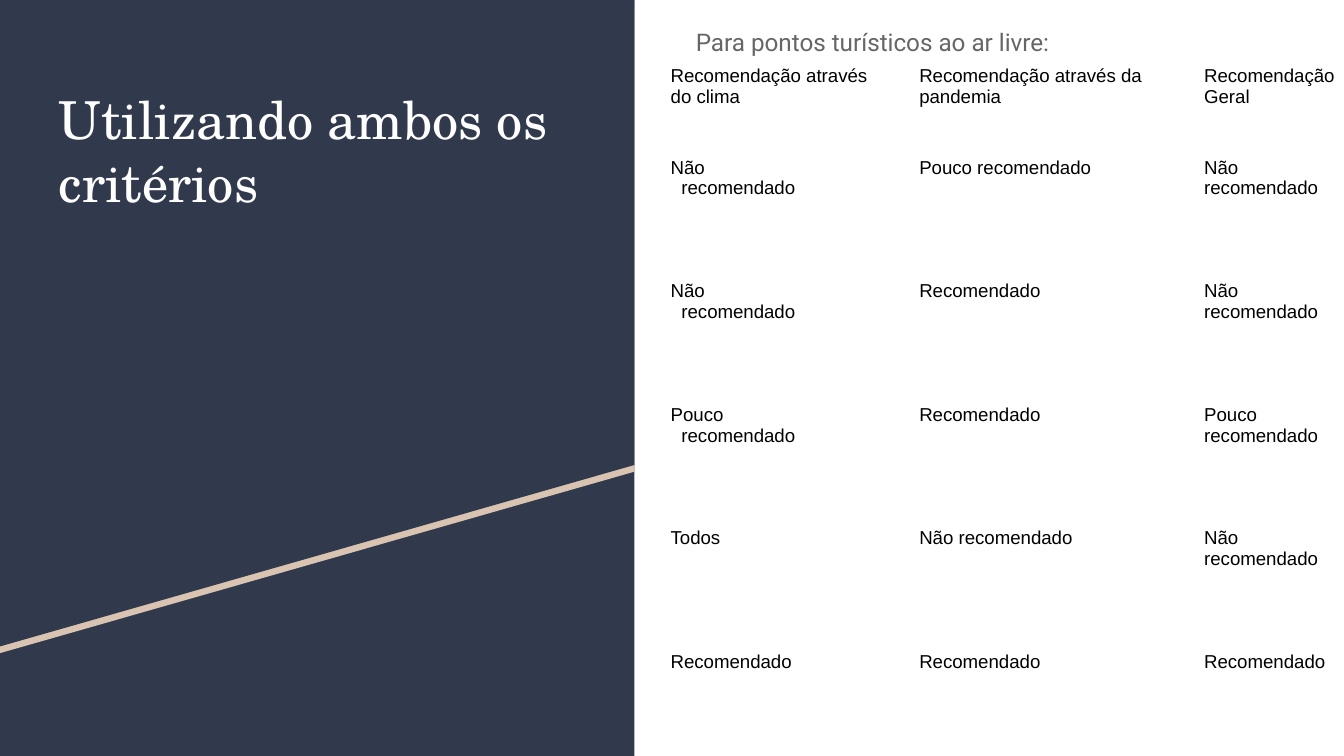
import pptx
import pptx.dml.color
import pptx.enum.shapes
import pptx.oxml.ns
import pptx.util
from pptx.util import Inches

NAVY = pptx.dml.color.RGBColor(0x31, 0x39, 0x4D)
SAND = pptx.dml.color.RGBColor(0xD9, 0xC4, 0xB1)
WHITE = pptx.dml.color.RGBColor(0xFF, 0xFF, 0xFF)
GRAY = pptx.dml.color.RGBColor(0x66, 0x66, 0x66)
BLACK = pptx.dml.color.RGBColor(0x00, 0x00, 0x00)

PAGE_WIDTH = 10
PAGE_HEIGHT = PAGE_WIDTH * 9 / 16
PANEL_WIDTH = 4.72
PLAIN_TABLE_STYLE = "{2D5ABB26-0587-4C30-8999-92F81FD0307C}"
COLUMN_WIDTHS = [1.85, 2.12, 1.29]
ROW_HEIGHTS = [0.68, 0.92, 0.92, 0.92, 0.92, 0.68]
RECOMMENDATIONS = [
    ["Recomendação através do clima", "Recomendação através da pandemia", "Recomendação Geral"],
    ["Não\nrecomendado", "Pouco recomendado", "Não recomendado"],
    ["Não\nrecomendado", "Recomendado", "Não recomendado"],
    ["Pouco\nrecomendado", "Recomendado", "Pouco recomendado"],
    ["Todos", "Não recomendado", "Não recomendado"],
    ["Recomendado", "Recomendado", "Recomendado"],
]


def write_text(frame, text, *, size, font, color, line_spacing=None, indent=0):
    frame.word_wrap = True
    frame.margin_left = frame.margin_right = Inches(0.1)
    frame.margin_top = frame.margin_bottom = Inches(0.1)
    for index, line in enumerate(text.split("\n")):
        para = frame.add_paragraph() if index else frame.paragraphs[0]
        if index and indent:
            para._p.get_or_add_pPr().set("marL", str(Inches(indent)))
        if line_spacing:
            para.line_spacing = line_spacing
        span = para.add_run()
        span.text = line
        span.font.size = pptx.util.Pt(size)
        span.font.name = font
        span.font.bold = False
        span.font.color.rgb = color


def paint(shape, color):
    shape.shadow.inherit = False
    shape.fill.solid()
    shape.fill.fore_color.rgb = color
    shape.line.fill.background()


def add_panel(page):
    panel = page.shapes.add_shape(
        pptx.enum.shapes.MSO_SHAPE.RECTANGLE, 0, 0, Inches(PANEL_WIDTH), Inches(PAGE_HEIGHT))
    paint(panel, NAVY)


def add_slanted_panel(page, top, color):
    builder = page.shapes.build_freeform(0, Inches(top))
    corners = [(PANEL_WIDTH, top), (PANEL_WIDTH, top + 3.46), (0, top + 4.81)]
    builder.add_line_segments([(Inches(x), Inches(y)) for x, y in corners], close=True)
    paint(builder.convert_to_shape(), color)


def add_text_box(page, text, left, top, width, height, **text_format):
    box = page.shapes.add_textbox(Inches(left), Inches(top), Inches(width), Inches(height))
    write_text(box.text_frame, text, **text_format)


def add_recommendation_table(page):
    frame = page.shapes.add_table(
        len(ROW_HEIGHTS), len(COLUMN_WIDTHS), Inches(4.89), Inches(0.39),
        Inches(sum(COLUMN_WIDTHS)), Inches(sum(ROW_HEIGHTS)))
    table = frame.table
    table.first_row = table.horz_banding = False
    table._tbl.tblPr.find(pptx.oxml.ns.qn("a:tableStyleId")).text = PLAIN_TABLE_STYLE
    for column, width in zip(table.columns, COLUMN_WIDTHS):
        column.width = Inches(width)
    for row, height, texts in zip(table.rows, ROW_HEIGHTS, RECOMMENDATIONS):
        row.height = Inches(height)
        for cell, text in zip(row.cells, texts):
            cell.fill.background()
            cell.margin_left = cell.margin_right = Inches(0.1)
            cell.margin_top = cell.margin_bottom = Inches(0.1)
            write_text(cell.text_frame, text, size=10, font="Arial", color=BLACK, indent=0.08)


def main():
    deck = pptx.Presentation()
    deck.slide_width = Inches(PAGE_WIDTH)
    deck.slide_height = Inches(PAGE_HEIGHT)
    page = deck.slides.add_slide(deck.slide_layouts[6])
    add_panel(page)
    add_slanted_panel(page, 0.05, SAND)
    add_slanted_panel(page, 0, NAVY)
    add_text_box(page, "Utilizando ambos os critérios", 0.34, 0.55, 4.05, 2.74,
                 size=28, font="TeX Gyre Schola", color=WHITE)
    add_text_box(page, "Para pontos turísticos ao ar livre:", 5.08, 0.07, 4.56, 5.37,
                 size=13, font="Roboto", color=GRAY, line_spacing=1.15)
    add_recommendation_table(page)
    deck.save("out.pptx")


if __name__ == "__main__":
    main()
